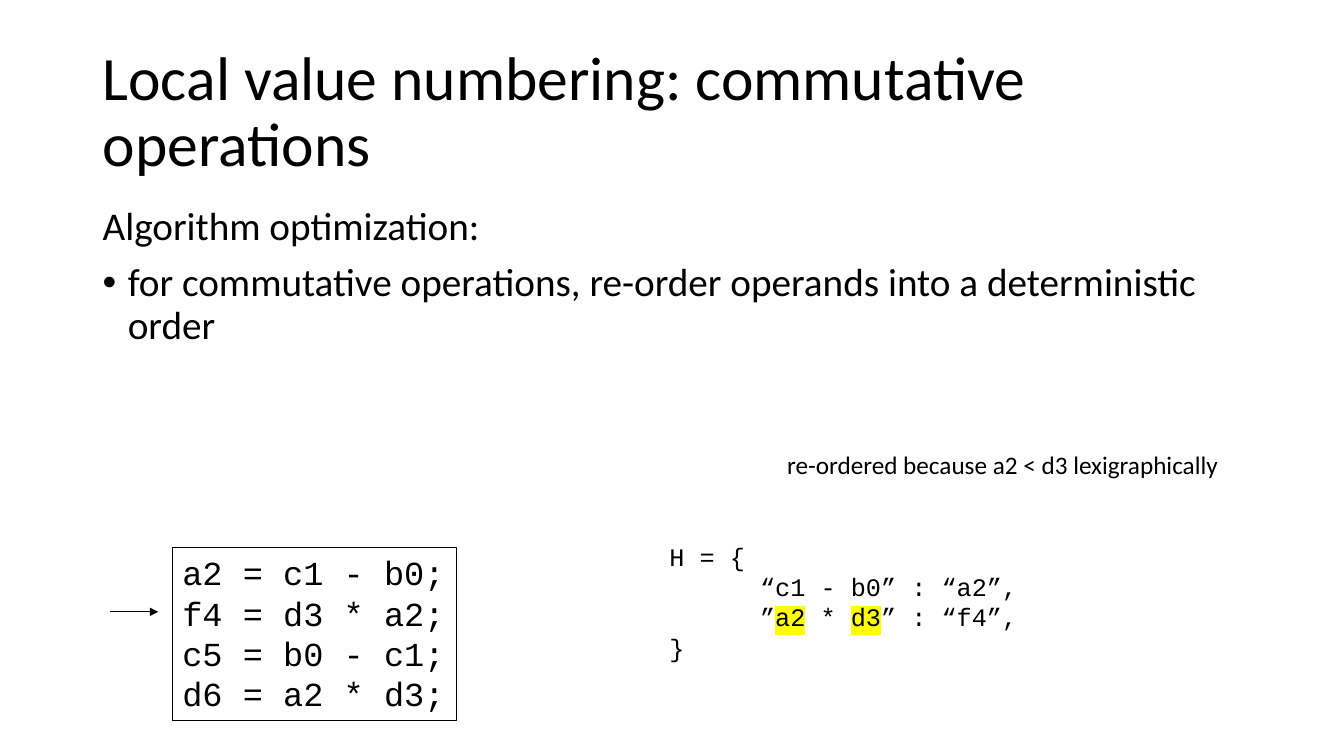
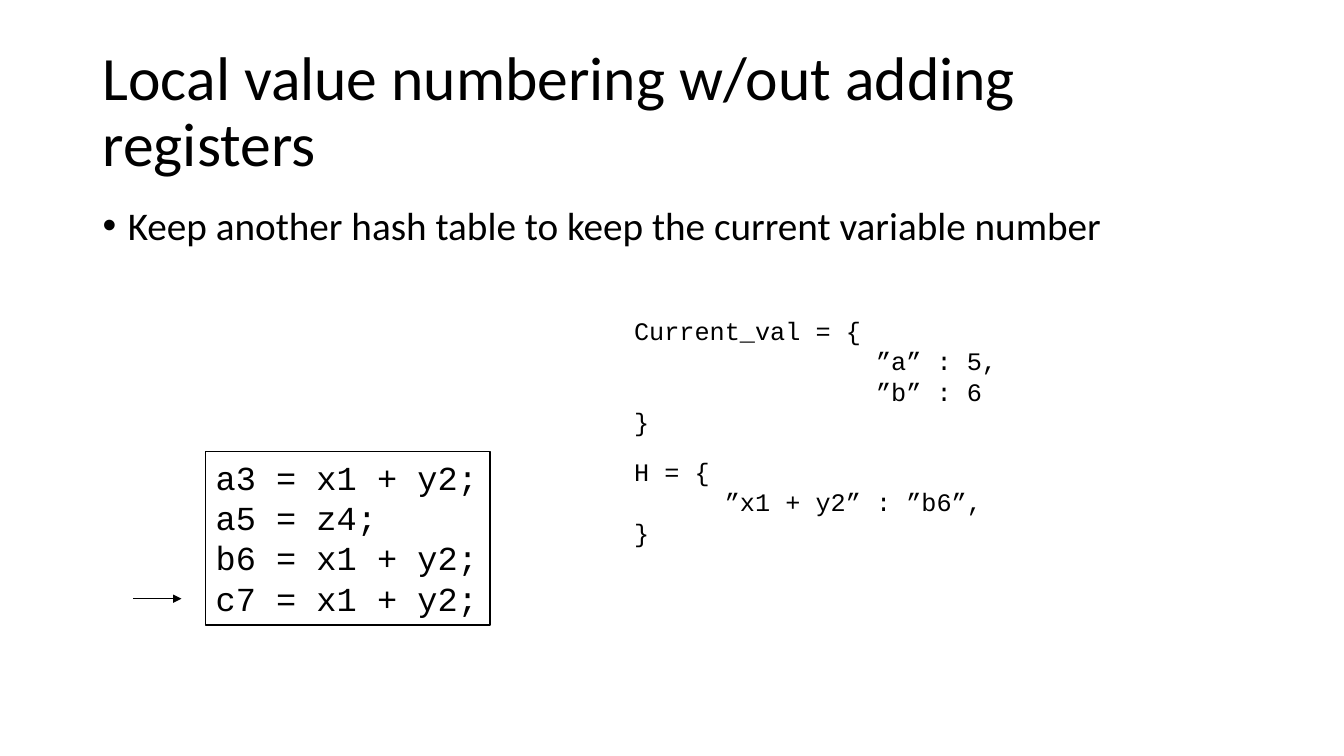
from lxml import etree
from pptx import Presentation
from pptx.dml.color import RGBColor
from pptx.enum.shapes import MSO_CONNECTOR, MSO_SHAPE
from pptx.enum.text import MSO_ANCHOR
from pptx.oxml.ns import qn
from pptx.util import Inches, Pt

STRAIGHT = MSO_CONNECTOR.STRAIGHT
RECTANGLE = MSO_SHAPE.RECTANGLE
TOP, MIDDLE = MSO_ANCHOR.TOP, MSO_ANCHOR.MIDDLE

BLACK, WHITE, YELLOW = "000000", "FFFFFF", "FFFF00"
PROSE, CODE = "Calibri", "Courier New"
ARROW_LENGTH = 0.48
LEFT, WIDTH = 0.92, 11.5


def rgb(hex_colour):
    return RGBColor.from_string(hex_colour)


def write(shape, lines, size, font, anchor=TOP, spacing=1.0, before=0):
    """Fill a shape with lines of (indent in inches, bullet, text); |text| is highlighted."""
    frame = shape.text_frame
    frame.word_wrap = True
    frame.vertical_anchor = anchor
    for number, (indent, bullet, text) in enumerate(lines):
        paragraph = frame.add_paragraph() if number else frame.paragraphs[0]
        paragraph.line_spacing = spacing
        paragraph.space_before = Pt(before)
        properties = paragraph._p.get_or_add_pPr()
        properties.set("marL", str(Inches(indent)))
        properties.set("algn", "l")
        if bullet:
            properties.set("indent", str(-Inches(indent)))
            etree.SubElement(properties, qn("a:buFont"), typeface="Arial")
            etree.SubElement(properties, qn("a:buChar"), char=bullet)
        for part, piece in enumerate(text.split("|")):
            run = paragraph.add_run()
            run.text = piece
            run.font.size = Pt(size)
            run.font.color.rgb = rgb(BLACK)
            if part % 2:
                highlight = etree.SubElement(run._r.get_or_add_rPr(), qn("a:highlight"))
                etree.SubElement(highlight, qn("a:srgbClr"), val=YELLOW)
            run.font.name = font


slides = [
    {
        "title": "Local value numbering: commutative operations",
        "body": [
            (0, "", "Algorithm optimization:"),
            (0.25, "•", "for commutative operations, re-order operands into a deterministic order"),
        ],
        "body_height": 3.14,
        "program": ["a2 = c1 - b0;", "f4 = d3 * a2;", "c5 = b0 - c1;", "d6 = a2 * d3;"],
        "program_at": (1.71, 5.43),
        "arrow_at": (1.09, 6.07),
        "texts": [
            ((6.54, 5.32, 3.75, 1.31), CODE, [
                (0, "", "H = {"),
                (0.9, "", "“c1 - b0” : “a2”,"),
                (0.9, "", "”|a2| * |d3|” : “f4”,"),
                (0, "", "}"),
            ]),
            ((7.71, 4.41, 4.6, 0.4), PROSE, [
                (0, "", "re-ordered because a2 < d3 lexigraphically"),
            ]),
        ],
    },
    {
        "title": "Local value numbering w/out adding registers",
        "body": [(0.25, "•", "Keep another hash table to keep the current variable number")],
        "body_height": 0.82,
        "program": ["a3 = x1 + y2;", "a5 = z4;", "b6 = x1 + y2;", "c7 = x1 + y2;"],
        "program_at": (2.04, 4.48),
        "arrow_at": (1.32, 5.94),
        "texts": [
            ((6.19, 3.08, 3.85, 1.31), CODE, [
                (0, "", "Current_val = {"),
                (2.4, "", "”a” : 5,"),
                (2.4, "", "”b” : 6"),
                (0, "", "}"),
            ]),
            ((6.19, 4.48, 3.75, 1.01), CODE, [
                (0, "", "H = {"),
                (0.9, "", "”x1 + y2” : ”b6”,"),
                (0, "", "}"),
            ]),
        ],
    },
]

deck = Presentation()
deck.slide_width, deck.slide_height = Inches(13.33), Inches(7.5)

for content in slides:
    slide = deck.slides.add_slide(deck.slide_layouts[6])
    shapes = slide.shapes

    title = shapes.add_textbox(Inches(LEFT), Inches(0.4), Inches(WIDTH), Inches(1.45))
    write(title, [(0, "", content["title"])], 44, PROSE, MIDDLE, 0.9)

    body = shapes.add_textbox(
        Inches(LEFT), Inches(2), Inches(WIDTH), Inches(content["body_height"]))
    write(body, content["body"], 28, PROSE, spacing=0.9, before=10)

    left, top = content["program_at"]
    program = shapes.add_shape(
        RECTANGLE, Inches(left), Inches(top), Inches(2.82), Inches(1.72))
    program.shadow.inherit = False
    program.fill.solid()
    program.fill.fore_color.rgb = rgb(WHITE)
    program.line.color.rgb = rgb(BLACK)
    program.line.width = Pt(1)
    write(program, [(0, "", line) for line in content["program"]], 24, CODE)

    left, top = content["arrow_at"]
    arrow = shapes.add_connector(
        STRAIGHT, Inches(left), Inches(top), Inches(left + ARROW_LENGTH), Inches(top))
    arrow.line.color.rgb = rgb(BLACK)
    arrow.line.width = Pt(0.5)
    etree.SubElement(arrow.line._get_or_add_ln(), qn("a:tailEnd"), type="triangle")
    etree.SubElement(arrow._element.spPr, qn("a:effectLst"))

    for box, font, lines in content["texts"]:
        text = shapes.add_textbox(*[Inches(length) for length in box])
        write(text, lines, 18, font)

deck.save("out.pptx")
